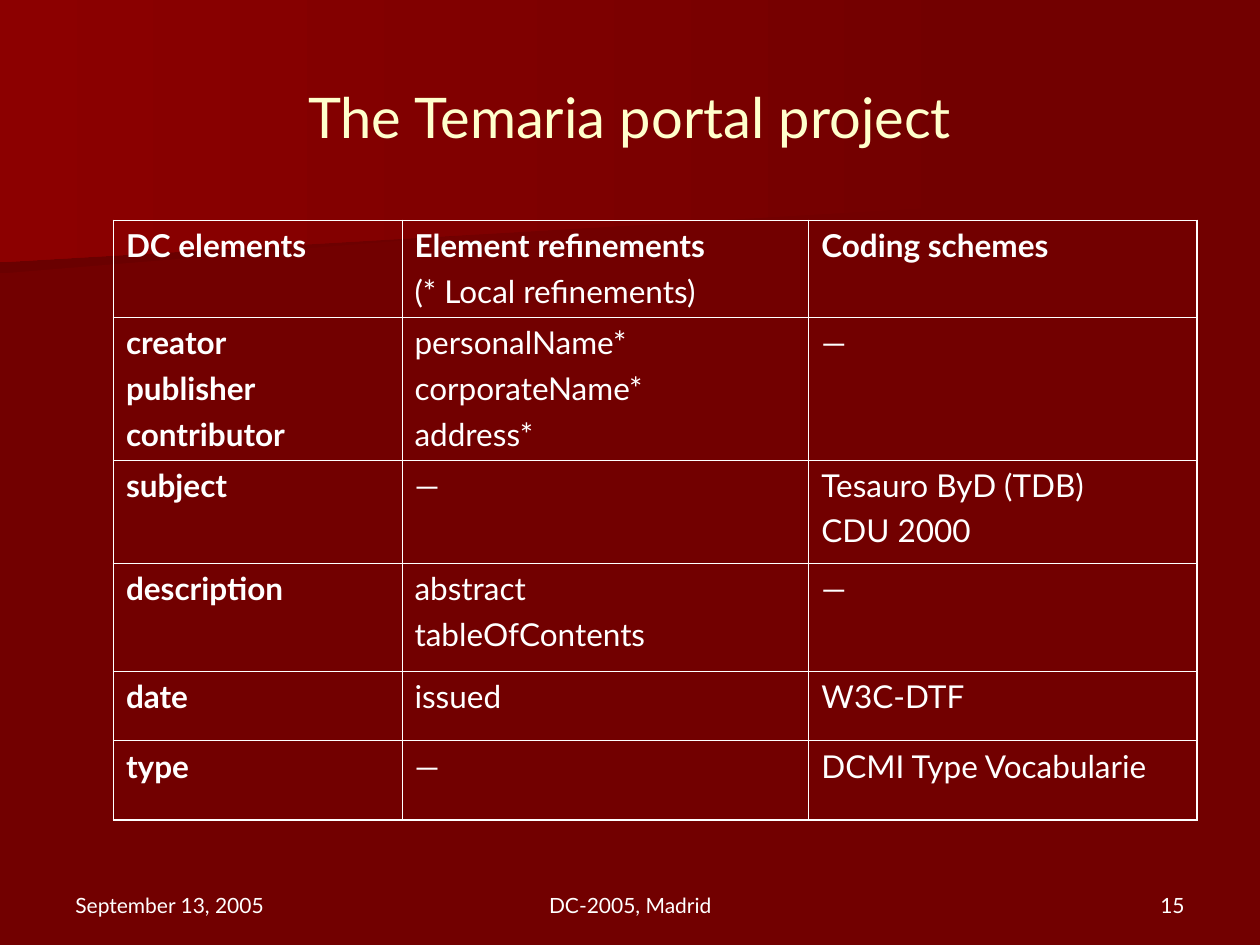
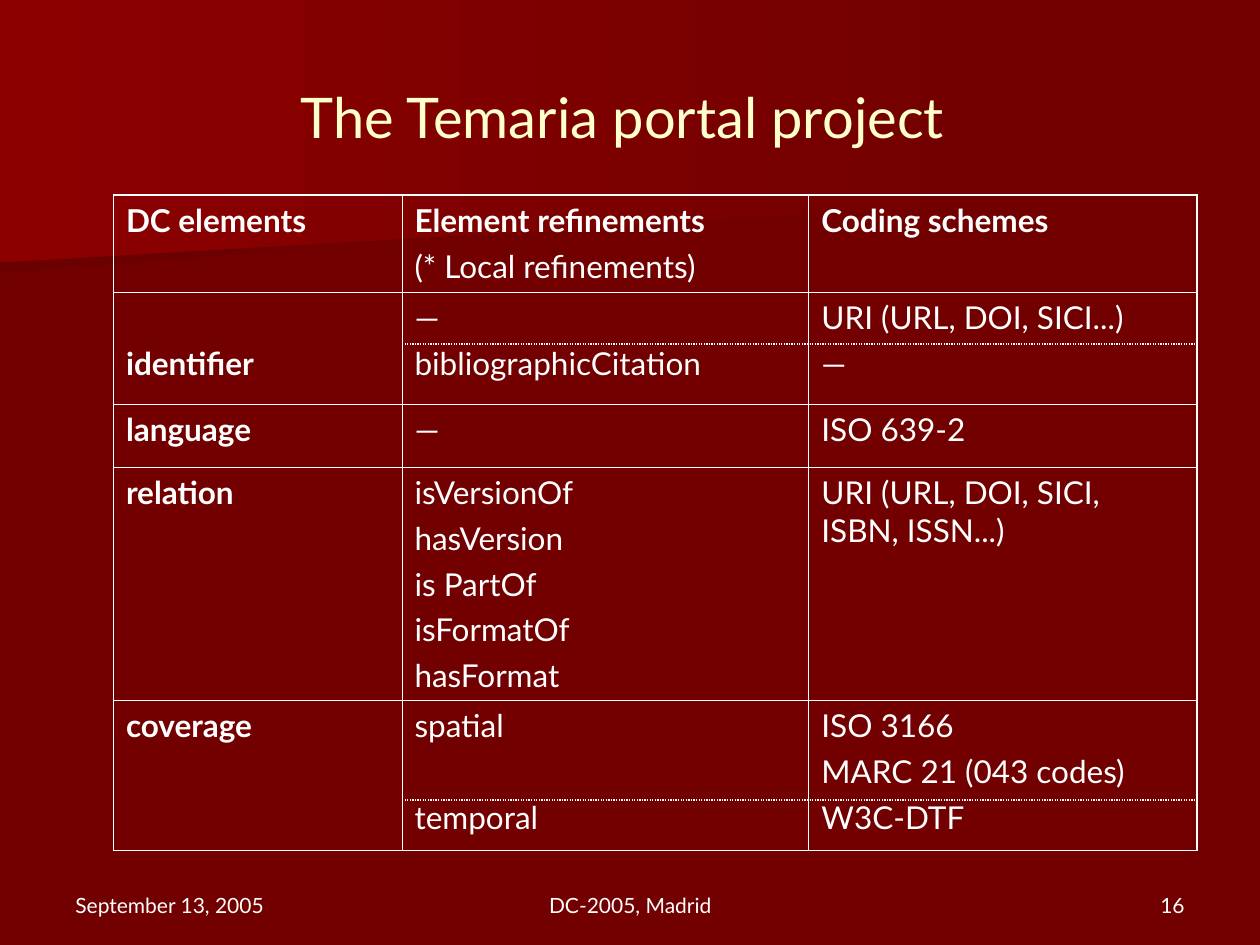
"""Build two slides that map Dublin Core elements to refinements and coding schemes."""
from lxml import etree
from pptx import Presentation
from pptx.dml.color import RGBColor
from pptx.enum import dml, shapes, text
from pptx.oxml import ns
from pptx.util import Pt

FONT = "Lato"
DARK_RED = RGBColor(0x72, 0x00, 0x00)
SHADE_RED = RGBColor(0x6A, 0x00, 0x00)
BRIGHT_RED = RGBColor(0x8C, 0x00, 0x00)
CREAM = RGBColor(0xFF, 0xFF, 0xCC)
WHITE = RGBColor(0xFF, 0xFF, 0xFF)

BANDS = [
    (SHADE_RED, [(560.2, 110.2), (0, 156.2), (0, 72.7), (560.9, 72.7), (560.2, 92.2)]),
    (BRIGHT_RED, [(570.2, 116.6), (0, 149.8), (0, 0), (570.2, 0)]),
]
TITLE_BOX = (36, 21.6, 648, 90)
FOOTER_TOP, FOOTER_HEIGHT = 491.8, 36

TABLE_LEFT = 64.8
COLUMN_WIDTHS = [164.9, 232.5, 221.8]
OUTER_LINE, INNER_LINE = 1.08, 0.45
PARAGRAPH_GAP = 4.5
LINE_PITCH = 21.6 + PARAGRAPH_GAP
CELL_TOP_MARGIN = 3.6

HEADER = (55.4, ["DC elements"], ["Element refinements", "(* Local refinements)"],
          ["Coding schemes"])
FIRST_ROWS = [
    HEADER,
    (81.4, ["creator", "publisher", "contributor"],
     ["personalName*", "corporateName*", "address*"], ["—"]),
    (59, ["subject"], ["—"], ["Tesauro ByD (TDB)", "CDU 2000"]),
    (61.9, ["description"], ["abstract", "tableOfContents"], ["—"]),
    (39.6, ["date"], ["issued"], ["W3C-DTF"]),
    (45.4, ["type"], ["—"], ["DCMI Type Vocabularie"]),
]
SECOND_ROWS = [
    HEADER,
    (64.1, ["", "identifier"], ["—", "bibliographicCitation"],
     ["URI (URL, DOI, SICI...)", "—"]),
    (36, ["language"], ["—"], ["ISO 639-2"]),
    (133.2, ["relation"],
     ["isVersionOf", "hasVersion", "is PartOf", "isFormatOf", "hasFormat"],
     ["URI (URL, DOI, SICI, ISBN, ISSN...)"]),
    (85.7, ["coverage"], ["spatial", "", "temporal"],
     ["ISO 3166", "MARC 21 (043 codes)", "W3C-DTF"]),
]


def style_paragraph(p, size, color, bold=False):
    """Set the font of a whole paragraph."""
    p.font.name, p.font.size, p.font.bold = FONT, Pt(size), bold
    p.font.color.rgb = color


def add_text(s, box, words, size, color, align, anchor):
    """Place one line of text in a box."""
    tf = s.shapes.add_textbox(*map(Pt, box)).text_frame
    tf.word_wrap = True
    tf.vertical_anchor = anchor
    p = tf.paragraphs[0]
    p.text, p.alignment = words, align
    style_paragraph(p, size, color)


def add_bands(s):
    """Draw the two gradient bands behind the title."""
    for color, points in BANDS:
        start, *rest = [(Pt(x), Pt(y)) for x, y in points]
        builder = s.shapes.build_freeform(*start)
        builder.add_line_segments(rest, close=True)
        sp = builder.convert_to_shape()
        sp.shadow.inherit = False
        sp.line.fill.background()
        sp.fill.gradient()
        sp.fill.gradient_angle = 180
        for stop, stop_color in zip(sp.fill.gradient_stops, (DARK_RED, color)):
            stop.color.rgb = stop_color


def add_footer(s, number):
    """Write the date, the venue and the slide number."""
    align = text.PP_ALIGN
    for left, width, words, side in [
        (36, 168, "September 13, 2005", align.LEFT),
        (246.2, 228, "DC-2005, Madrid", align.CENTER),
        (516, 168, str(number), align.RIGHT),
    ]:
        add_text(s, (left, FOOTER_TOP, width, FOOTER_HEIGHT), words, 12, WHITE,
                 side, text.MSO_ANCHOR.BOTTOM)


def set_borders(cell, outer_sides):
    """Draw four white borders, heavier on the outer sides."""
    tc_pr = cell._tc.get_or_add_tcPr()
    for side in "LRTB":
        width = OUTER_LINE if side in outer_sides else INNER_LINE
        ln = etree.SubElement(tc_pr, ns.qn(f"a:ln{side}"), w=str(Pt(width)))
        fill = etree.SubElement(ln, ns.qn("a:solidFill"))
        etree.SubElement(fill, ns.qn("a:srgbClr"), val=str(WHITE))


def fill_cell(cell, lines, bold_count):
    """Write the lines of a cell, turning each empty line into spacing."""
    tf = cell.text_frame
    p, skipped = None, 0
    for i, line in enumerate(lines):
        if not line:
            skipped += LINE_PITCH
            continue
        if p is None:
            p = tf.paragraphs[0]
            cell.margin_top = Pt(CELL_TOP_MARGIN + skipped)
        else:
            p = tf.add_paragraph()
            p.space_before = Pt(PARAGRAPH_GAP + skipped)
        p.text, skipped = line, 0
        style_paragraph(p, 18, WHITE, i < bold_count)


def add_element_table(s, top, rows):
    """Build the table of elements with its top edge at the given height."""
    height = sum(row[0] for row in rows)
    frame = s.shapes.add_table(len(rows), len(COLUMN_WIDTHS), Pt(TABLE_LEFT), Pt(top),
                               Pt(sum(COLUMN_WIDTHS)), Pt(height))
    table = frame.table
    table.first_row = table.horz_banding = False
    for column, width in zip(table.columns, COLUMN_WIDTHS):
        column.width = Pt(width)
    for r, (row_height, *cells) in enumerate(rows):
        table.rows[r].height = Pt(row_height)
        for c, lines in enumerate(cells):
            cell = table.cell(r, c)
            outer = {"L": c == 0, "R": c == len(cells) - 1,
                     "T": r == 0, "B": r == len(rows) - 1}
            set_borders(cell, [side for side in outer if outer[side]])
            cell.fill.background()
            bold_count = len(lines) if c == 0 else int(r == 0)
            fill_cell(cell, lines, bold_count)


def add_dividers(s, top, offsets):
    """Draw dotted lines over the last two columns, below the table top."""
    left = TABLE_LEFT + COLUMN_WIDTHS[0]
    right = TABLE_LEFT + sum(COLUMN_WIDTHS)
    for offset in offsets:
        y = Pt(top + offset)
        line = s.shapes.add_connector(shapes.MSO_CONNECTOR.STRAIGHT, Pt(left), y, Pt(right), y)
        line.line.color.rgb = WHITE
        line.line.width = Pt(0.75)
        line.line.dash_style = dml.MSO_LINE.ROUND_DOT
        etree.SubElement(line._element.spPr, ns.qn("a:effectLst"))


def add_table_slide(prs, number, title, top, rows, dividers=()):
    """Add one slide with bands, title, table, dividers and footer."""
    s = prs.slides.add_slide(prs.slide_layouts[6])
    add_bands(s)
    add_text(s, TITLE_BOX, title, 32, CREAM, text.PP_ALIGN.CENTER, text.MSO_ANCHOR.MIDDLE)
    add_element_table(s, top, rows)
    add_dividers(s, top, dividers)
    add_footer(s, number)


def main():
    """Create the presentation and save it."""
    prs = Presentation()
    prs.slide_width, prs.slide_height = Pt(720), Pt(540)
    background = prs.slide_master.background.fill
    background.solid()
    background.fore_color.rgb = DARK_RED
    add_table_slide(prs, 15, "The Temaria portal project", 126, FIRST_ROWS)
    add_table_slide(prs, 16, "The Temaria portal project ", 111.6, SECOND_ROWS, (85, 345.6))
    prs.save("out.pptx")


if __name__ == "__main__":
    main()
